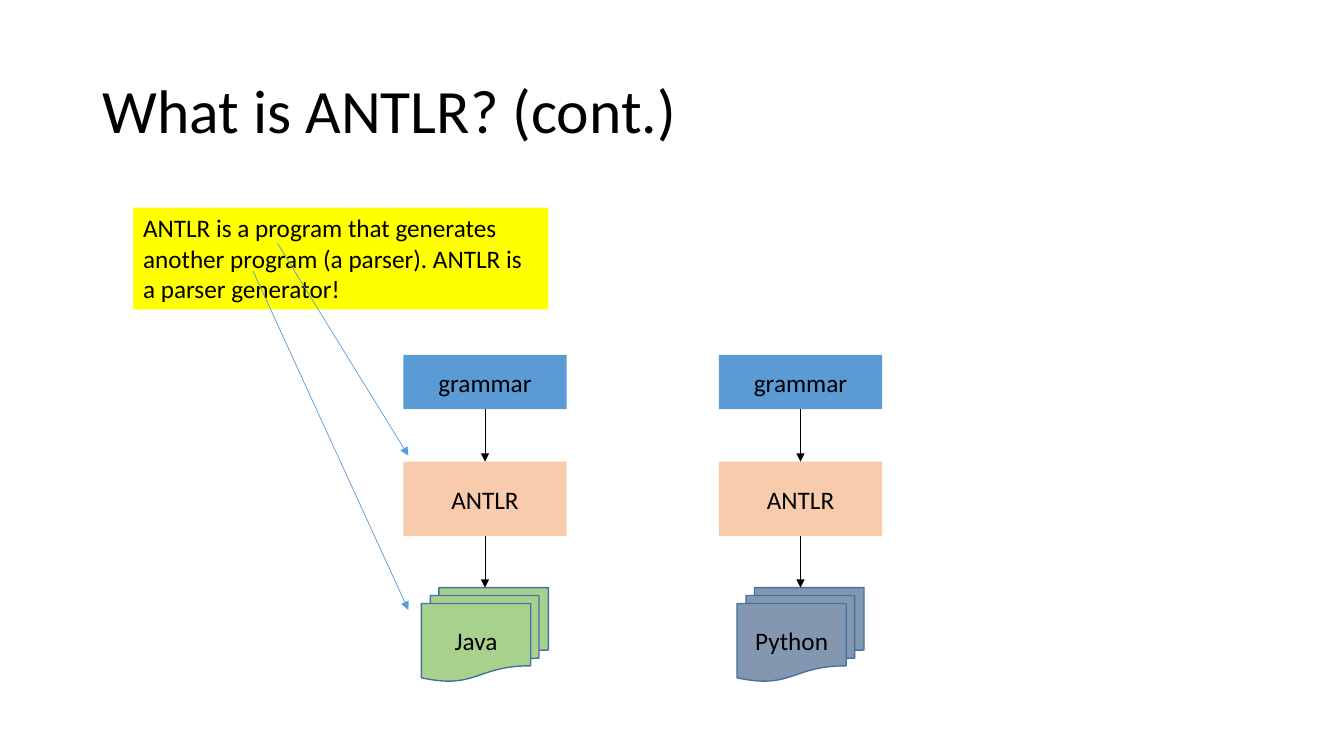
from pptx import Presentation
from pptx.dml.color import RGBColor
from pptx.enum.shapes import MSO_CONNECTOR, MSO_SHAPE
from pptx.enum.text import MSO_ANCHOR, MSO_AUTO_SIZE, PP_ALIGN
from pptx.oxml.ns import qn
from pptx.util import Inches, Pt
from lxml import etree

RECT, DOCUMENTS = MSO_SHAPE.RECTANGLE, MSO_SHAPE.FLOWCHART_MULTIDOCUMENT
STRAIGHT = MSO_CONNECTOR.STRAIGHT
MIDDLE, TOP = MSO_ANCHOR.MIDDLE, MSO_ANCHOR.TOP
LEFT, CENTER = PP_ALIGN.LEFT, PP_ALIGN.CENTER
BOTTOM_SIDE, TOP_SIDE = 2, 0

prs = Presentation()
prs.slide_width, prs.slide_height = Inches(13.33), Inches(7.5)
slide = prs.slides.add_slide(prs.slide_layouts[5])


def color(hex_string):
    return RGBColor.from_string(hex_string)


def add_block(kind, x, y, w, h, fill, text, align=CENTER, anchor=MIDDLE):
    block = slide.shapes.add_shape(kind, Inches(x), Inches(y), Inches(w), Inches(h))
    block.shadow.inherit = False
    block.fill.solid()
    block.fill.fore_color.rgb = color(fill)
    block.line.fill.background()
    frame = block.text_frame
    frame.word_wrap = True
    frame.vertical_anchor = anchor
    paragraph = frame.paragraphs[0]
    paragraph.text = text
    paragraph.alignment = align
    paragraph.font.size = Pt(18)
    paragraph.font.name = "Calibri"
    paragraph.font.color.rgb = color("000000")
    return block


# Title
title = slide.shapes.title
title.left, title.top = Inches(0.92), Inches(0.4)
title.width, title.height = Inches(11.5), Inches(1.45)
title.text_frame.vertical_anchor = MIDDLE
heading = title.text_frame.paragraphs[0]
heading.text = "What is ANTLR? (cont.)"
heading.alignment = LEFT
heading.line_spacing = 0.9
heading.font.size = Pt(44)
heading.font.name = "Calibri"
heading.font.color.rgb = color("000000")

# Definition
definition = add_block(
    RECT, 1.32, 2.06, 4.12, 1.01, "FFFF00",
    "ANTLR is a program that generates another program (a parser). "
    "ANTLR is a parser generator!", LEFT, TOP)
definition.text_frame.auto_size = MSO_AUTO_SIZE.SHAPE_TO_FIT_TEXT

# One column per target language: grammar, generator, generated files
arrows = []
box_width, files_width = 1.62, 1.26
for column, (language, fill) in enumerate([("Java", "A9D18E"), ("Python", "8497B0")]):
    center = 4.81 + column * 3.13
    box_left = center - box_width / 2
    grammar = add_block(RECT, box_left, 3.52, box_width, 0.54, "5B9BD5", "grammar")
    generator = add_block(RECT, box_left, 4.58, box_width, 0.74, "F8CBAD", "ANTLR")
    files = add_block(DOCUMENTS, center - files_width / 2, 5.83, files_width, 0.93,
                      fill, language)
    files.line.color.rgb = color("43739E")
    files.line.width = Pt(1)

    to_generator = slide.shapes.add_connector(STRAIGHT, 0, 0, 0, 0)
    to_generator.begin_connect(grammar, BOTTOM_SIDE)
    to_generator.end_connect(generator, TOP_SIDE)
    to_files = slide.shapes.add_connector(
        STRAIGHT, Inches(center), Inches(5.32), Inches(center), Inches(5.83))
    to_files.begin_connect(generator, BOTTOM_SIDE)
    arrows += [(to_generator, "000000"), (to_files, "000000")]

# Pointers from the two mentions of "program" to what they stand for
for start_x, start_y, end_y in [(2.51, 2.69, 6.05), (2.75, 2.41, 4.52)]:
    pointer = slide.shapes.add_connector(
        STRAIGHT, Inches(start_x), Inches(start_y), Inches(4.05), Inches(end_y))
    arrows.append((pointer, "5B9BD5"))

# Arrow styling
for arrow, stroke in arrows:
    arrow.line.color.rgb = color(stroke)
    arrow.line.width = Pt(0.5)
    etree.SubElement(arrow.line._get_or_add_ln(), qn("a:tailEnd"), type="triangle")
    etree.SubElement(arrow._element.spPr, qn("a:effectLst"))

prs.save("out.pptx")
